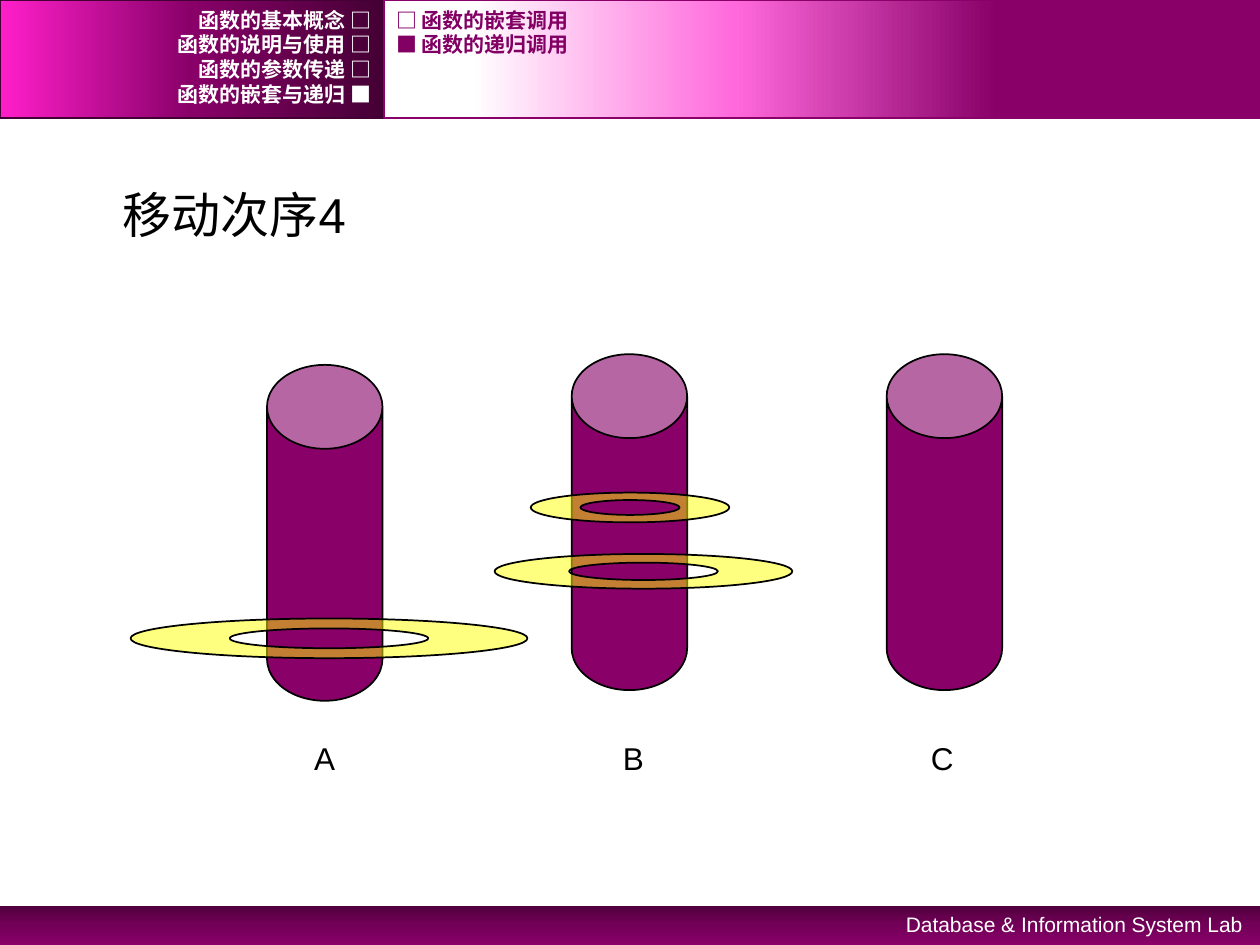
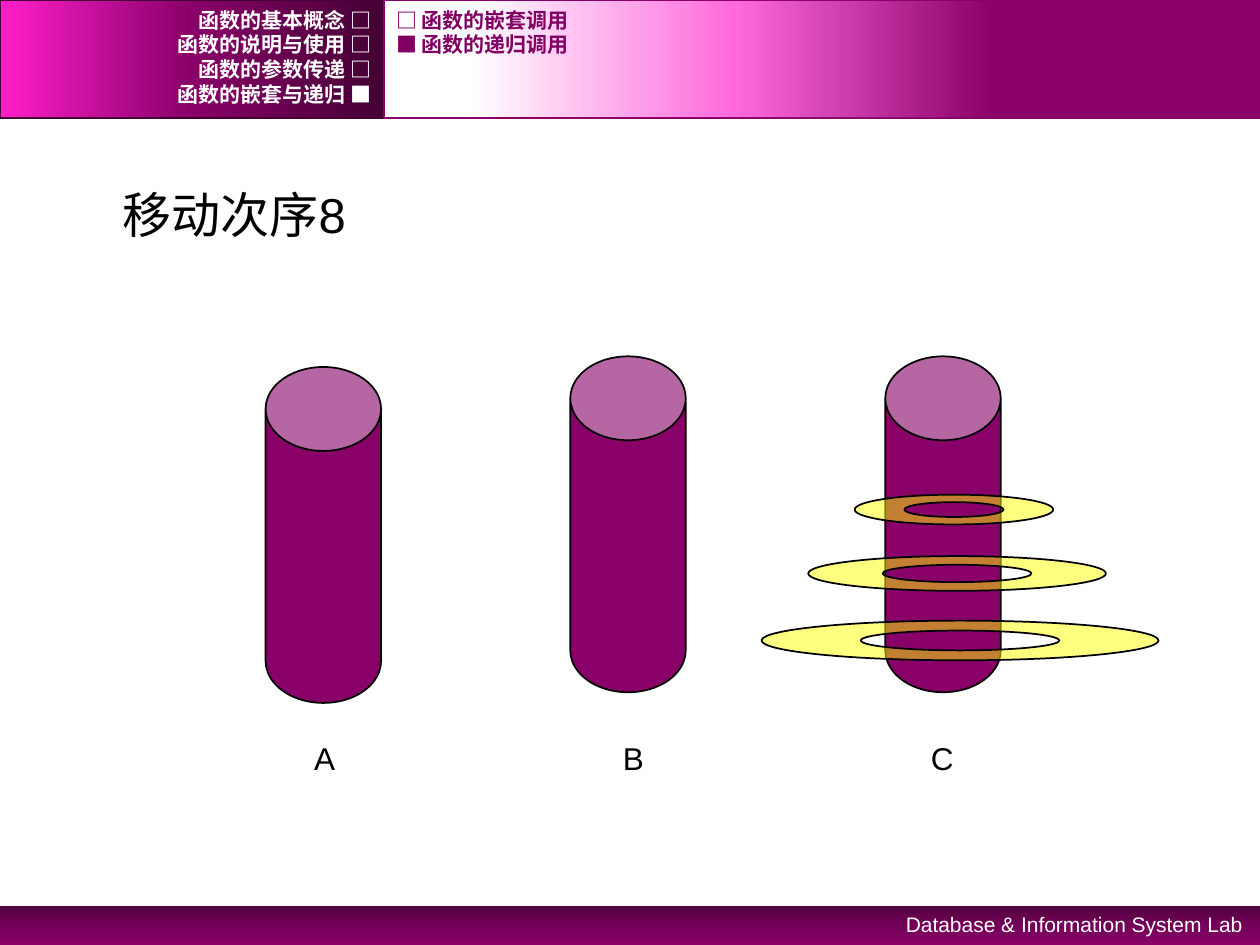
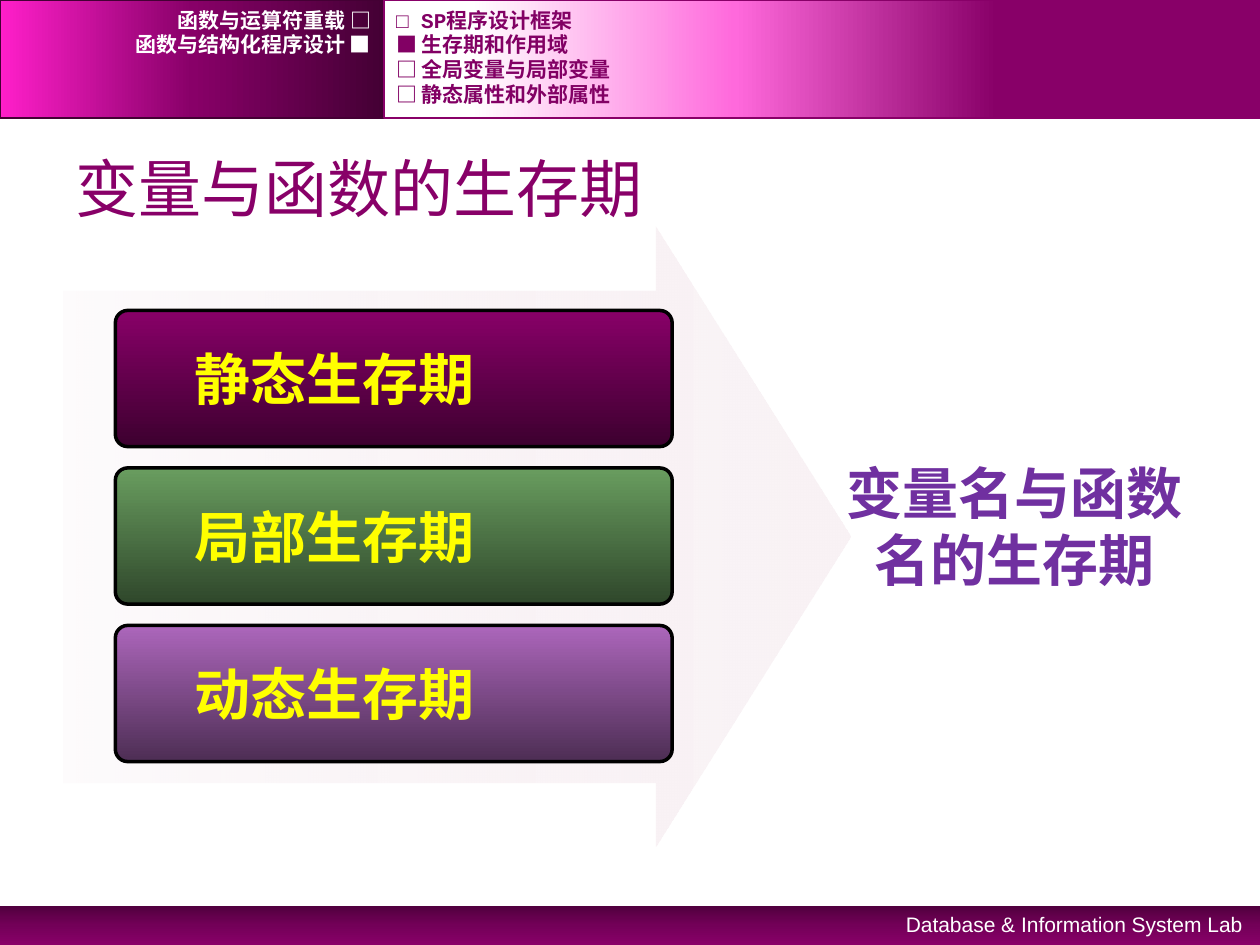
from dataclasses import dataclass

from lxml.etree import SubElement as Sub
from pptx import Presentation
from pptx.dml.color import RGBColor as Rgb
from pptx.enum.shapes import MSO_SHAPE as Kind
from pptx.enum.text import MSO_ANCHOR as Anchor, PP_ALIGN as Align
from pptx.oxml.ns import qn
from pptx.util import Pt


@dataclass(frozen=True)
class Theme:
    plum: str = "880068"
    dark: str = "440034"
    pink: str = "FF1FCA"
    rose: str = "FF69DC"
    topic: str = "820064"
    black: str = "000000"
    white: str = "FFFFFF"
    yellow: str = "FFFF00"
    violet: str = "7030A0"
    sans: str = "Arial"
    mono: str = "Courier New"
    han: str = "Noto Sans CJK SC"
    small: int = 12
    label: int = 18
    step: int = 28
    large: int = 32
    title: int = 36


T = Theme()


def paint(shape, stops=(), angle=0, line=None, weight=1):
    """Fill with (position, colour, opacity) stops; a single stop is a solid fill."""
    shape.shadow.inherit = False
    fill = shape.fill
    if not stops:
        fill.background()
    elif len(stops) == 1:
        _, tint, alpha = stops[0]
        fill.solid()
        fill.fore_color.rgb = Rgb.from_string(tint)
        if alpha < 100:
            color = shape._element.spPr.find(qn("a:solidFill"))[0]
            Sub(color, qn("a:alpha"), val=str(alpha * 1000))
    else:
        fill.gradient()
        fill.gradient_angle = (360 - angle) % 360
        holder = shape._element.spPr.find(qn("a:gradFill")).find(qn("a:gsLst"))
        holder.clear()
        for place, tint, alpha in stops:
            stop = Sub(holder, qn("a:gs"), pos=str(place * 1000))
            color = Sub(stop, qn("a:srgbClr"), val=tint)
            if alpha < 100:
                Sub(color, qn("a:alpha"), val=str(alpha * 1000))
    if line:
        shape.line.color.rgb = Rgb.from_string(line)
        shape.line.width = Pt(weight)
    else:
        shape.line.fill.background()


def write(shape, text, size, color, font=T.sans, bold=False, align=Align.LEFT, left=7.2):
    frame = shape.text_frame
    frame.text = text
    frame.word_wrap = True
    frame.vertical_anchor = Anchor.MIDDLE
    frame.margin_left = Pt(left)
    frame.margin_top = frame.margin_bottom = 0
    para = frame.paragraphs[0]
    para.alignment = align
    for run in para.runs:
        run.font.size = Pt(size)
        run.font.bold = bold
        run.font.color.rgb = Rgb.from_string(color)
        run.font.name = font
        Sub(run._r.get_or_add_rPr(), qn("a:ea"), typeface=T.han)
    return para


# Bands: place, gradient stops, angle, outline
BANDS = [
    ((0, 517.7, 720, 22.3),
     [(0, "51003E", 100), (50, "730058", 100), (100, T.plum, 100)], 90, None),
    ((0, 0, 219.6, 67.5),
     [(0, T.dark, 100), (50, T.plum, 100), (100, T.pink, 100)], 180, T.dark),
    ((219.6, 0, 500.4, 67.5),
     [(30, T.plum, 100), (60, T.rose, 100), (90, T.white, 100)], 180, T.plum),
]
ROW = 14.1

CALLS = (
    ["函数的基本概念 □", "函数的说明与使用 □", "函数的参数传递 □", "函数的嵌套与递归 ■"],
    ["□ 函数的嵌套调用", "■ 函数的递归调用"],
)
SCOPES = (
    ["函数与运算符重载 □", "函数与结构化程序设计 ■"],
    ["□ SP程序设计框架", "■ 生存期和作用域", "□ 全局变量与局部变量", "□ 静态属性和外部属性"],
)

deck = Presentation()
deck.slide_width, deck.slide_height = Pt(720), Pt(540)

pages = []
for parts, topics in (CALLS, CALLS, SCOPES):
    page = deck.slides.add_slide(deck.slide_layouts[6]).shapes
    pages.append(page)
    for box, stops, angle, line in BANDS:
        paint(page.add_shape(Kind.RECTANGLE, *map(Pt, box)), stops, angle, line)
    foot = page.add_textbox(*map(Pt, (461.8, 517.3, 255.6, 21.6)))
    write(foot, "Database & Information System Lab", T.small, T.white, align=Align.RIGHT)
    for names, left, width, color, align in (
        (parts, 0, 219.2, T.white, Align.RIGHT),
        (topics, 219.2, 433.4, T.topic, Align.LEFT),
    ):
        for row, name in enumerate(names):
            item = page.add_textbox(Pt(left), Pt(4.3 + row * ROW), Pt(width), Pt(ROW))
            write(item, name, T.small, color, T.mono, True, align)

# Towers of Hanoi: title, shift of the drawing, ring centres from small to large
STEPS = [
    ("移动次序4", 0, 0, (360, 367.7, 188)),
    ("移动次序8", -0.8, 1.2, (545.9, 547.7, 549.4)),
]
RODS = [(152.6, 208.5), (326.7, 202.4), (506.7, 202.4)]
RING_Y = (290, 326.5, 364.8)
BEND = 0.5523  # control length of a quarter arc, per radius

for page, (title, dx, dy, centres) in zip(pages, STEPS):
    head = page.add_textbox(*map(Pt, (36, 102.2, 642.2, 43.9)))
    write(head, title, T.step, T.black, left=34.2)
    head.text_frame.margin_bottom = Pt(4.1)

    for left, top in RODS:
        rod = page.add_shape(Kind.CAN, Pt(left + dx), Pt(top + dy), Pt(66), Pt(192))
        rod.adjustments[0] = 0.727
        paint(rod, [(0, T.plum, 100)], line=T.black)

    for rank, (x, y) in enumerate(zip(centres, RING_Y)):
        wide, high = 56.7 * (1 + rank / 2), 8.5 + 1.42 * rank
        rims = []
        for scale, turn in ((1, 1), (0.5, -1)):
            ends = [(-1, 0), (0, -turn), (1, 0), (0, turn), (-1, 0)]
            rims.append([(Pt(x + dx + scale * wide * u),
                          Pt(y + dy + scale * high * v)) for u, v in ends])
        outer, inner = rims
        pen = page.build_freeform(*outer[0])
        pen.add_line_segments(outer[1:])
        pen.move_to(*inner[0])
        pen.add_line_segments(inner[1:])
        ring = pen.convert_to_shape()
        paint(ring, [(0, T.yellow, 50)], line=T.black)

        # Bend every straight side into a quarter arc round the centre
        mid = ring.width / 2, ring.height / 2
        for side in list(ring._element.iter(qn("a:lnTo"))):
            start, end = ([int(node[-1].get(axis)) for axis in "xy"]
                          for node in (side.getprevious(), side))
            first = [s + BEND * (e - m) for s, e, m in zip(start, end, mid)]
            second = [e + BEND * (s - m) for s, e, m in zip(start, end, mid)]
            curve = Sub(side.getparent(), qn("a:cubicBezTo"))
            for px, py in (first, second, end):
                Sub(curve, qn("a:pt"), x=str(round(px)), y=str(round(py)))
            side.getparent().replace(side, curve)

    names = page.add_textbox(*map(Pt, (158.4, 418.6, 432, 28.8)))
    para = write(names, "\tA\tB\tC", T.label, T.black)
    tabs = Sub(para._p.get_or_add_pPr(), qn("a:tabLst"))
    for col in range(3):
        Sub(tabs, qn("a:tab"), pos=str(Pt(20 + 176.5 * col)), algn="ctr")

# Lifetimes of variables and functions
page = pages[2]
arrow = page.add_shape(Kind.RIGHT_ARROW, *map(Pt, (36, 129.5, 450, 354)))
arrow.adjustments[0], arrow.adjustments[1] = 0.793, 0.315
paint(arrow, [(0, "F4E7ED", 15), (100, "F9F2F5", 100)])

LIVES = [
    ("静态生存期", T.plum, "3D002F"),
    ("局部生存期", "699D5F", "2F472B"),
    ("动态生存期", "AC66BB", "4D2E54"),
]
for row, (name, light, deep) in enumerate(LIVES):
    card = page.add_shape(
        Kind.ROUNDED_RECTANGLE, Pt(65.9), Pt(177.4 + 90 * row), Pt(318.2), Pt(77.8))
    card.adjustments[0] = 0.091
    paint(card, [(0, light, 100), (100, deep, 100)], 90, T.black, 2)
    write(card, name, T.large, T.yellow, T.han, True, left=43.2)

result = page.add_shape(Kind.ROUNDED_RECTANGLE, *map(Pt, (468, 249.1, 223.9, 102.2)))
result.adjustments[0] = 0.091
paint(result)
para = write(result, "变量名与函数名的生存期", T.large, T.violet, T.han, True, Align.CENTER)
para.line_spacing = Pt(38.3)

head = page.add_textbox(*map(Pt, (36, 78.8, 648, 56.2)))
write(head, "变量与函数的生存期", T.title, T.plum)

deck.save("out.pptx")
